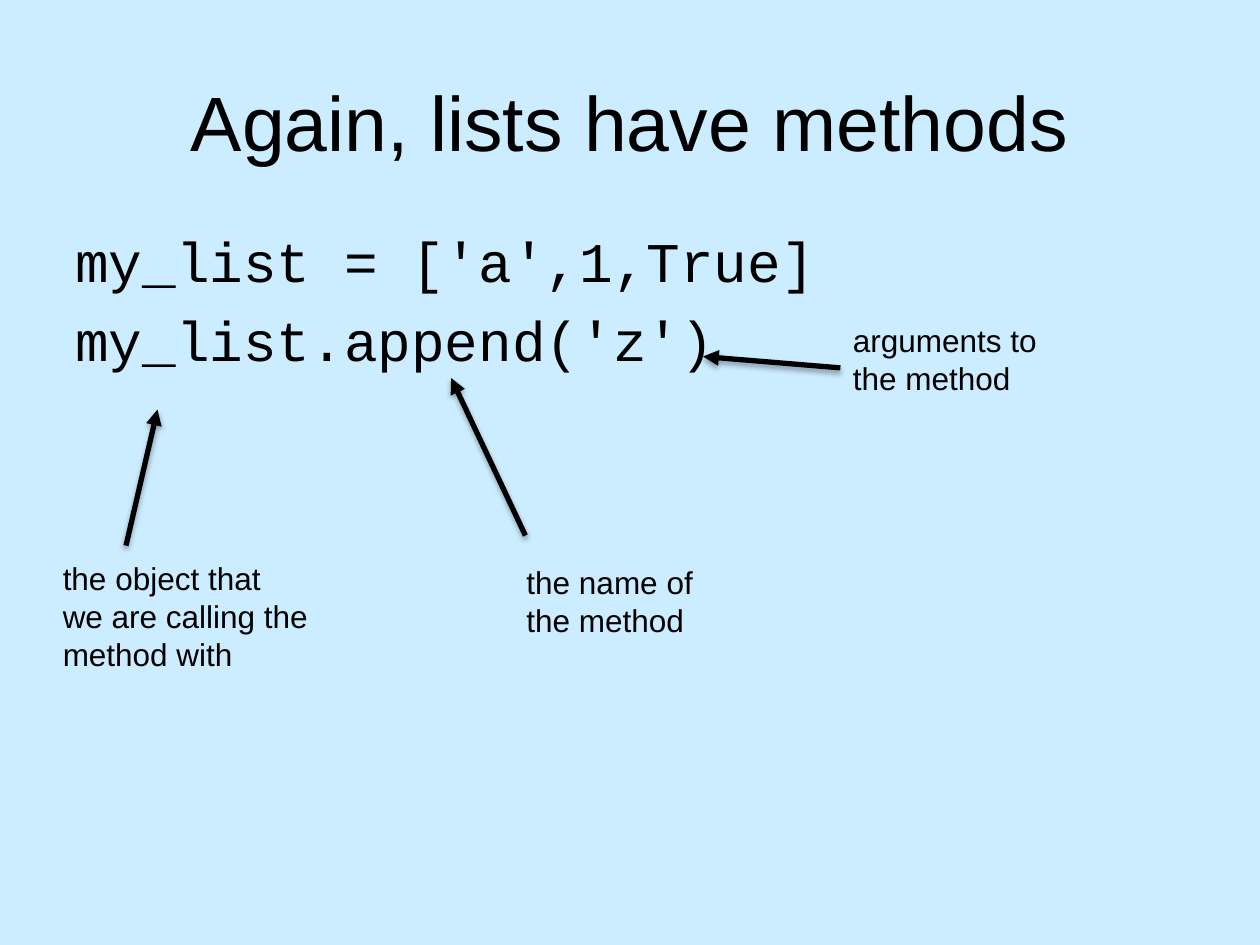
from dataclasses import dataclass

from lxml import etree
from pptx import Presentation
from pptx import util as u
from pptx.dml.color import RGBColor
from pptx.enum import shapes, text
from pptx.oxml import parse_xml
from pptx.oxml.ns import nsdecls, qn


@dataclass(frozen=True)
class Theme:
    background: RGBColor = RGBColor(0xCC, 0xEC, 0xFF)
    ink: RGBColor = RGBColor(0, 0, 0)
    font: str = "Arial"
    code_font: str = "Courier New"
    title_size: int = 44
    code_size: int = 32
    label_size: int = 18
    arrow_width: int = 3


THEME = Theme()

# Content: boxes are (left, top, width, height) in inches
TITLE = ["Again, lists have methods"]
TITLE_BOX = (0.5, 0.5, 9, 0.92)
CODE = ["my_list = ['a',1,True]", "my_list.append('z')"]
CODE_BOX = (0.5, 1.75, 9, 1.58)
CALLOUTS = [
    {"lines": ["the object that", "we are calling the", "method with"],
     "box": (0.4, 4.39, 2.8, 1.3), "arrow": ((1, 4.33), (1.25, 3.25))},
    {"lines": ["the name of", "the method"],
     "box": (4.08, 4.42, 2.05, 0.9), "arrow": ((4.17, 4.25), (3.58, 3))},
    {"lines": ["arguments to", "the method"],
     "box": (6.67, 2.5, 2.15, 0.9), "arrow": ((6.67, 2.92), (5.58, 2.83))},
]
SHADOW = (
    f'<a:effectLst {nsdecls("a")}>'
    f'<a:outerShdw blurRad="{u.Pt(3.1)}" dist="{u.Pt(1.8)}" dir="5400000" rotWithShape="0">'
    '<a:srgbClr val="000000"><a:alpha val="35000"/></a:srgbClr>'
    "</a:outerShdw></a:effectLst>"
)


def add_text(page, lines, place, size, font=THEME.font):
    box = page.shapes.add_textbox(*map(u.Inches, place))
    frame = box.text_frame
    frame.word_wrap = True
    frame.text = "\n".join(lines)
    for para in frame.paragraphs:
        for span in para.runs:
            span.font.name = font
            span.font.size = u.Pt(size)
            span.font.color.rgb = THEME.ink
    return frame


def add_arrow(page, start, end):
    arrow = page.shapes.add_connector(
        shapes.MSO_CONNECTOR.STRAIGHT, *map(u.Inches, (*start, *end)))
    arrow.line.color.rgb = THEME.ink
    arrow.line.width = u.Pt(THEME.arrow_width)
    properties = arrow.element.spPr
    outline = properties.find(qn("a:ln"))
    etree.SubElement(outline, qn("a:tailEnd"), type="triangle")
    properties.append(parse_xml(SHADOW))


def main():
    deck = Presentation()
    deck.slide_width, deck.slide_height = u.Inches(10), u.Inches(7.5)
    page = deck.slides.add_slide(deck.slide_layouts[6])
    page.background.fill.solid()
    page.background.fill.fore_color.rgb = THEME.background

    # Title
    title = add_text(page, TITLE, TITLE_BOX, THEME.title_size)
    title.vertical_anchor = text.MSO_ANCHOR.MIDDLE
    title.paragraphs[0].alignment = text.PP_ALIGN.CENTER

    # Code, with a gap of 20% of a line before each statement
    code = add_text(page, CODE, CODE_BOX, THEME.code_size, THEME.code_font)
    for para in code.paragraphs:
        para.space_before = u.Pt(0)
        gap = para._p.pPr.find(qn("a:spcBef"))
        gap.clear()
        etree.SubElement(gap, qn("a:spcPct"), val="20000")

    # Labels and their arrows to the parts of the call
    for callout in CALLOUTS:
        add_text(page, callout["lines"], callout["box"], THEME.label_size)
        add_arrow(page, *callout["arrow"])

    deck.save("out.pptx")


if __name__ == "__main__":
    main()
